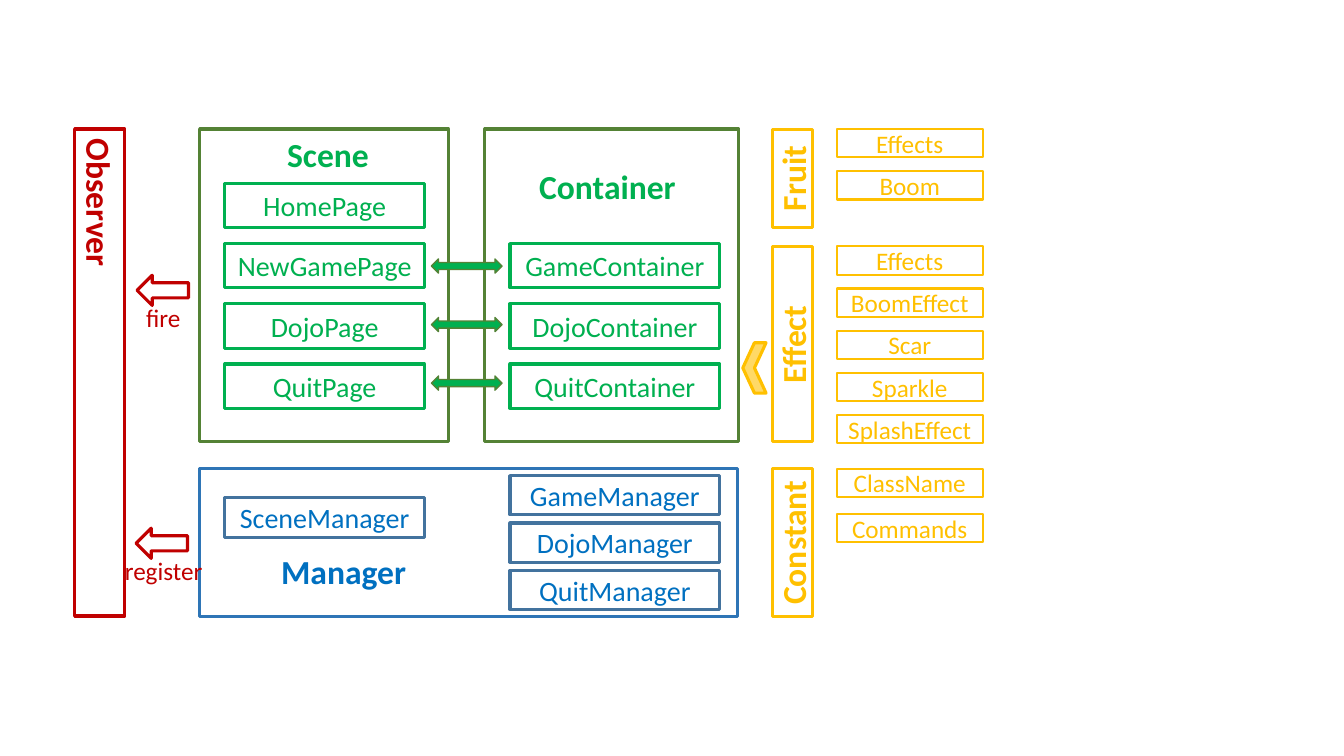
from dataclasses import dataclass

import pptx
import pptx.dml.color
import pptx.enum.shapes
import pptx.enum.text
import pptx.shapes.autoshape
import pptx.util

Pt = pptx.util.Pt
SHAPE = pptx.enum.shapes.MSO_SHAPE

RED, GREEN, DARK_GREEN = "C00000", "00B050", "548235"
BLUE, PANEL_BLUE, STEEL = "0070C0", "2E75B6", "43739E"
YELLOW, PALE_YELLOW = "FFC000", "FFD966"

# Shared edges of the diagram
TOP, MANAGER_TOP = 92.2, 334.8
SCENE_LEFT, CONTAINER_LEFT = 142.6, 346.3
PAGE_LEFT, PAGE_WIDTH = 160.6, 142.6
RIGHT_LEFT, RIGHT_WIDTH = 364.3, 149.8
PAGE_TOP, PAGE_PITCH, PAGE_HEIGHT = 131, 43, 31.7
MANAGER_PITCH, MANAGER_HEIGHT = 33.8, 28


@dataclass
class Area:
    left: float
    top: float
    width: float
    height: float

    def lengths(self) -> list[pptx.util.Length]:
        return [Pt(v) for v in (self.left, self.top, self.width, self.height)]


@dataclass
class Style:
    line: str
    text: str = ""
    size: float = 20
    bold: bool = False
    weight: float = 2.25
    fill: str = ""
    direction: str = "horz"


@dataclass
class Module:
    name: str
    top: float
    height: float
    class_pitch: float
    classes: list[str]


@dataclass
class Signal:
    name: str
    arrow: Area
    label: Area


def rgb(value: str) -> pptx.dml.color.RGBColor:
    return pptx.dml.color.RGBColor.from_string(value)


def write(frame, text: str, color: str, size: float, bold: bool) -> None:
    frame.word_wrap = True
    line = frame.paragraphs[0]
    line.text = text
    line.font.name = "Calibri"
    line.font.size = Pt(size)
    line.font.bold = bold
    line.font.color.rgb = rgb(color)


def add_box(shapes, area: Area, style: Style, text: str = "",
            preset=SHAPE.RECTANGLE) -> pptx.shapes.autoshape.Shape:
    box = shapes.add_shape(preset, *area.lengths())
    box.shadow.inherit = False
    box.line.color.rgb = rgb(style.line)
    box.line.width = Pt(style.weight)
    if style.fill:
        box.fill.solid()
        box.fill.fore_color.rgb = rgb(style.fill)
    else:
        box.fill.background()
    if text:
        write(box.text_frame, text, style.text, style.size, style.bold)
        box.text_frame.vertical_anchor = pptx.enum.text.MSO_ANCHOR.MIDDLE
        box.text_frame.paragraphs[0].alignment = pptx.enum.text.PP_ALIGN.CENTER
        box.element.txBody.bodyPr.set("vert", style.direction)
    return box


def add_label(shapes, area: Area, text: str, color: str,
              size: float = 24, bold: bool = True) -> None:
    frame = shapes.add_textbox(*area.lengths()).text_frame
    write(frame, text, color, size, bold)
    frame.auto_size = pptx.enum.text.MSO_AUTO_SIZE.SHAPE_TO_FIT_TEXT


def add_stack(shapes, first: Area, pitch: float, style: Style, names: list[str]) -> None:
    for row, name in enumerate(names):
        area = Area(first.left, first.top + row * pitch, first.width, first.height)
        add_box(shapes, area, style, name)


PANEL = Style(DARK_GREEN)
PAGE = Style(GREEN, GREEN)
MANAGER = Style(STEEL, BLUE)
OBSERVER = Style(RED, RED, 24, True, direction="eaVert")
MODULE = Style(YELLOW, YELLOW, 24, True, direction="vert270")
CLASS = Style(YELLOW, YELLOW, 18, weight=1.5)
SYNC = Style(DARK_GREEN, weight=1, fill=GREEN)

MODULES = [
    Module("Fruit", TOP, 70.6, 30.1, ["Effects", "Boom"]),
    Module("Effect", 176, 139.7, 30.1,
           ["Effects", "BoomEffect", "Scar", "Sparkle", "SplashEffect"]),
    Module("Constant", MANAGER_TOP, 105.8, 32.4, ["ClassName", "Commands"]),
]
SIGNALS = [
    Signal("register", Area(97.2, 377.3, 36.7, 21.6), Area(82.1, 393.1, 72, 28.8)),
    Signal("fire", Area(97.9, 196.6, 36.7, 21.6), Area(97.2, 212.4, 39.6, 28.8)),
]


def main() -> None:
    deck = pptx.Presentation()
    deck.slide_width, deck.slide_height = Pt(960), Pt(540)
    shapes = deck.slides.add_slide(deck.slide_layouts[6]).shapes

    # Observer
    add_box(shapes, Area(53.3, TOP, 36, 347.8), OBSERVER, "Observer")

    # Managers
    add_box(shapes, Area(SCENE_LEFT, MANAGER_TOP, 384.5, 105.8), Style(PANEL_BLUE))
    add_box(shapes, Area(PAGE_LEFT, 355.7, PAGE_WIDTH, MANAGER_HEIGHT),
            MANAGER, "SceneManager")
    add_stack(shapes, Area(RIGHT_LEFT, 339.8, RIGHT_WIDTH, MANAGER_HEIGHT),
              MANAGER_PITCH, MANAGER, ["GameManager", "DojoManager", "QuitManager"])
    add_label(shapes, Area(193.7, 390.2, 109.4, 36), "Manager", BLUE)

    # Scene and its pages
    scene = shapes.add_group_shape().shapes
    add_box(scene, Area(SCENE_LEFT, TOP, 177.8, 223.2), PANEL)
    add_stack(scene, Area(PAGE_LEFT, PAGE_TOP, PAGE_WIDTH, PAGE_HEIGHT), PAGE_PITCH,
              PAGE, ["HomePage", "NewGamePage", "DojoPage", "QuitPage"])
    add_label(scene, Area(198, TOP, 80.6, 36), "Scene", GREEN)

    # Containers, level with the pages after the first
    container = shapes.add_group_shape().shapes
    add_box(container, Area(CONTAINER_LEFT, TOP, 181.4, 223.2), PANEL)
    add_stack(container,
              Area(RIGHT_LEFT, PAGE_TOP + PAGE_PITCH, RIGHT_WIDTH, PAGE_HEIGHT),
              PAGE_PITCH, PAGE, ["GameContainer", "DojoContainer", "QuitContainer"])
    add_label(container, Area(378, 115.2, 113.8, 36), "Container", GREEN)

    # Modules and their classes
    for module in MODULES:
        add_box(shapes, Area(551.8, module.top, 28.8, module.height), MODULE, module.name)
        add_stack(shapes, Area(597.6, module.top, 104.4, 20.2),
                  module.class_pitch, CLASS, module.classes)

    # Signals to the observer
    for signal in SIGNALS:
        group = shapes.add_group_shape().shapes
        add_box(group, signal.arrow, Style(RED), preset=SHAPE.LEFT_ARROW)
        add_label(group, signal.label, signal.name, RED, 18, False)

    # Links between pages and containers
    for row in range(3):
        add_box(shapes, Area(308.2, 185 + row * 41.8, 50.4, 10.1), SYNC,
                preset=SHAPE.LEFT_RIGHT_ARROW)

    # Modules feed the containers
    feed = add_box(shapes, Area(530.6, 244.8, 16.6, 36),
                   Style(YELLOW, fill=PALE_YELLOW), preset=SHAPE.CHEVRON)
    feed.rotation = 180

    deck.save("out.pptx")


if __name__ == "__main__":
    main()
